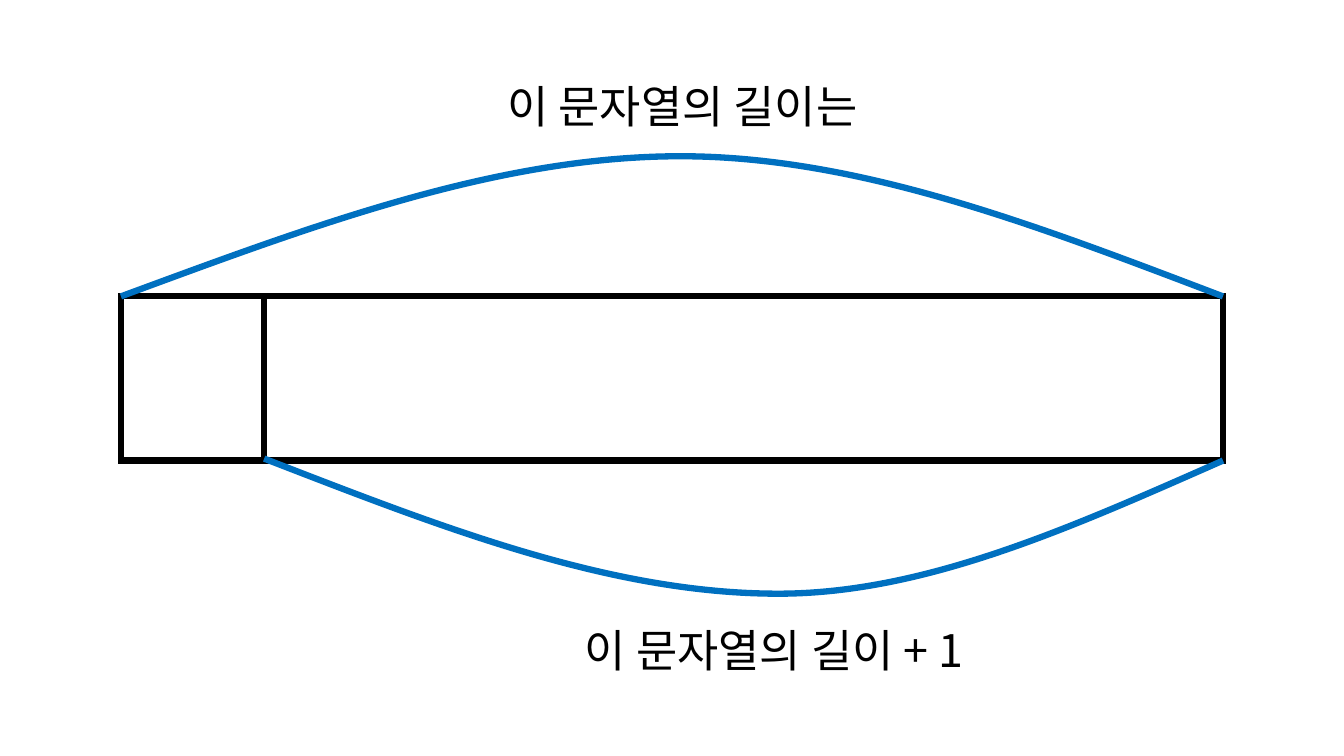
from lxml.etree import SubElement
from pptx import Presentation
from pptx.dml.color import RGBColor
from pptx.enum.shapes import MSO_CONNECTOR, MSO_SHAPE
from pptx.enum.text import MSO_AUTO_SIZE, PP_ALIGN
from pptx.oxml.ns import qn
from pptx.util import Inches, Pt

BLACK = RGBColor(0, 0, 0)
BLUE = RGBColor(0x00, 0x70, 0xC0)
FONT = "Noto Sans CJK KR"
STROKE = Pt(4.5)
FIRST_CELL = 1.42


def set_stroke(shape, color):
    """Give a shape's line the common width, a colour and sharp corners."""
    shape.line.color.rgb = color
    shape.line.width = STROKE
    SubElement(shape._element.spPr.find(qn("a:ln")), qn("a:miter"), lim="800000")


def add_string_bar(slide, left, top, width, height):
    """Draw the string as a bar with its first cell divided off."""
    bar = slide.shapes.add_shape(MSO_SHAPE.RECTANGLE, Inches(left), Inches(top),
                                 Inches(width), Inches(height))
    bar.shadow.inherit = False
    bar.fill.background()
    set_stroke(bar, BLACK)
    divider_x = Inches(left + FIRST_CELL)
    divider = slide.shapes.add_connector(MSO_CONNECTOR.STRAIGHT, divider_x, Inches(top),
                                         divider_x, Inches(top + height))
    set_stroke(divider, BLACK)
    SubElement(divider._element.spPr, qn("a:effectLst"))


def add_length_arc(slide, start, peak, end):
    """Draw a two-part Bezier arc from start over peak to end."""
    def between(foot, across, rise):
        return (foot[0] + across * (peak[0] - foot[0]),
                foot[1] + rise * (peak[1] - foot[1]))

    points = [start, between(start, 0.34, 0.5), between(start, 0.67, 1), peak,
              between(end, 0.67, 1), between(end, 0.34, 0.5), end]
    # The builder rounds its coordinates, so they are given in EMU
    origin, *others = [(Inches(x), Inches(y)) for x, y in points]
    builder = slide.shapes.build_freeform(*origin)
    builder.add_line_segments(others, close=False)
    arc = builder.convert_to_shape()
    arc.shadow.inherit = False
    arc.fill.background()
    set_stroke(arc, BLUE)

    # Every three straight segments become one cubic segment
    outline = next(arc._element.iter(qn("a:path")))
    segments = outline.findall(qn("a:lnTo"))
    for first in range(0, len(segments), 3):
        cubic = SubElement(outline, qn("a:cubicBezTo"))
        for segment in segments[first:first + 3]:
            cubic.append(segment[0])
            outline.remove(segment)


def add_length_label(slide, wording, left, top, width=4.36, height=0.64):
    """Write a centred label for one of the lengths."""
    label = slide.shapes.add_textbox(Inches(left), Inches(top),
                                     Inches(width), Inches(height))
    frame = label.text_frame
    frame.word_wrap = True
    frame.auto_size = MSO_AUTO_SIZE.SHAPE_TO_FIT_TEXT
    paragraph = frame.paragraphs[0]
    paragraph.text = wording
    paragraph.alignment = PP_ALIGN.CENTER
    font = paragraph.font
    font.size, font.name = Pt(32), FONT
    font.color.rgb = BLACK
    SubElement(font._element, qn("a:ea"), typeface=FONT)


def add_string_diagram(slide, left, top, width, height):
    """Place the bar, its two arcs and their labels around the bar's box."""
    right, bottom = left + width, top + height
    add_string_bar(slide, left, top, width, height)
    add_length_arc(slide, (left, top), (left + 5.55, top - 1.39), (right, top))
    add_length_arc(slide, (left + FIRST_CELL, bottom - 0.02),
                   (left + 6.52, bottom + 1.32), (right, bottom))
    add_length_label(slide, "이 문자열의 길이는", left + 3.39, top - 2.21)
    add_length_label(slide, "이 문자열의 길이 + 1", left + 4.3, bottom + 1.56)


presentation = Presentation()
presentation.slide_width = Inches(13.33)
presentation.slide_height = Inches(7.5)
string_slide = presentation.slides.add_slide(presentation.slide_layouts[6])
add_string_diagram(string_slide, 1.2, 2.94, 10.93, 1.63)
presentation.save("out.pptx")
